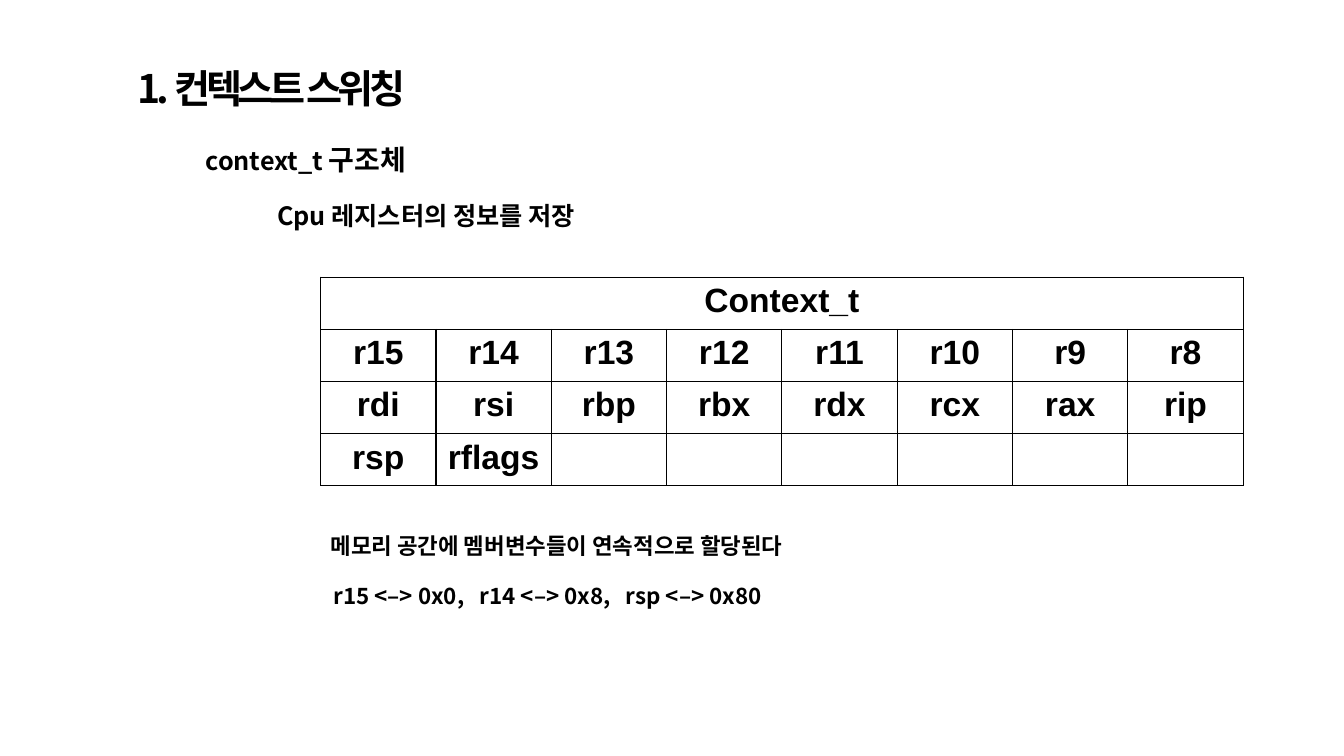
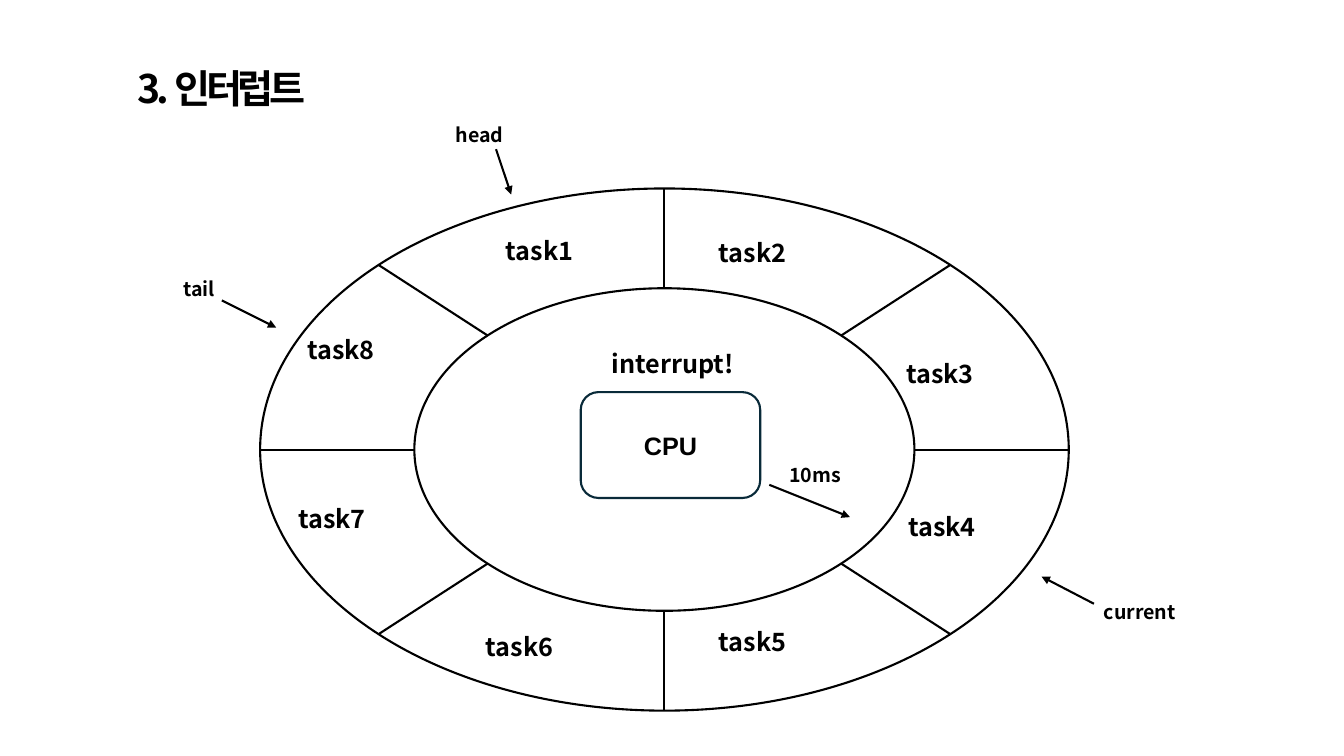
"""Build two slides on context switching and interrupts."""
import math

from lxml import etree
from pptx import Presentation
from pptx.dml.color import RGBColor
from pptx.enum import shapes, text
from pptx.oxml.ns import qn
from pptx.util import Inches, Pt

COLORS = {"ink": "000000", "cpu_line": "092A39"}
KOREAN, LATIN = "Noto Sans CJK KR", "Arial"
INK = RGBColor.from_string(COLORS["ink"])


def style(paragraph, size, name):
    """Set the bold font of a paragraph and return its default run properties."""
    font = paragraph.font
    font.size, font.bold, font.name = Pt(size), True, name
    font.color.rgb = INK
    properties = paragraph._p.pPr.find(qn("a:defRPr"))
    etree.SubElement(properties, qn("a:ea"), typeface=name)
    return properties


def add_text(slide, left, top, width, height, runs, size):
    """Add a one-paragraph text box and return the paragraph."""
    box = slide.shapes.add_textbox(Inches(left), Inches(top), Inches(width), Inches(height))
    frame = box.text_frame
    frame.word_wrap = True
    frame.auto_size = text.MSO_AUTO_SIZE.SHAPE_TO_FIT_TEXT
    paragraph = frame.paragraphs[0]
    for words in runs:
        paragraph.add_run().text = words
    style(paragraph, size, KOREAN)
    return paragraph


presentation = Presentation()
presentation.slide_width, presentation.slide_height = Inches(13.33), Inches(7.5)

slides = []
for title, width in (("1. 컨텍스트 스위칭", 3.1), ("3. 인터럽트", 1.9)):
    slide = presentation.slides.add_slide(presentation.slide_layouts[6])
    paragraph = add_text(slide, 1.27, 0.59, width, 0.57, [title], 28)
    paragraph._p.pPr.find(qn("a:defRPr")).set("spc", "-300")
    slides.append(slide)
context_slide, interrupt_slide = slides

heading = add_text(context_slide, 1.94, 1.36, 2.97, 0.44, ["context_t ", "구조체"], 18)
heading.runs[1].font.size = Pt(20)
add_text(context_slide, 2.65, 1.94, 3.57, 0.4, ["Cpu 레지스터의 정보를 저장"], 18)
add_text(context_slide, 3.18, 5.23, 5.85, 0.37,
         ["메모리 공간에 멤버변수들이 연속적으로 할당된다"], 16)
offsets = add_text(context_slide, 3.21, 5.73, 8.06, 0.37,
                   ["r15 <–> 0x0,\tr14 <–> 0x8,\trsp <–> 0x80"], 16)
tab_list = etree.Element(qn("a:tabLst"))
for position in (1.45, 2.9):
    etree.SubElement(tab_list, qn("a:tab"), pos=str(Inches(position)), algn="l")
offsets._p.pPr.insert(0, tab_list)

ROWS = [
    ["Context_t"],
    ["r15", "r14", "r13", "r12", "r11", "r10", "r9", "r8"],
    ["rdi", "rsi", "rbp", "rbx", "rdx", "rcx", "rax", "rip"],
    ["rsp", "rflags"],
]
table = context_slide.shapes.add_table(
    len(ROWS), 8, Inches(3.18), Inches(2.75), Inches(9.15), Inches(2.07)).table
table.first_row = table.horz_banding = False
for row, registers in enumerate(ROWS):
    for column in range(8):
        cell = table.cell(row, column)
        paragraph = cell.text_frame.paragraphs[0]
        paragraph.alignment = text.PP_ALIGN.CENTER
        if column < len(registers):
            paragraph.add_run().text = registers[column]
        style(paragraph, 24, LATIN)
        properties = cell._tc.get_or_add_tcPr()
        for side in ("lnL", "lnR", "lnT", "lnB"):
            border = etree.SubElement(properties, qn(f"a:{side}"), w=str(Pt(1)))
            fill = etree.SubElement(border, qn("a:solidFill"))
            etree.SubElement(fill, qn("a:srgbClr"), val=COLORS["ink"])
        cell.fill.background()
table.cell(0, 0).merge(table.cell(0, 7))

CENTER_X, CENTER_Y = 6.59, 4.46
OUTER, INNER = (4.01, 2.59), (2.48, 1.6)
outlines = [
    (shapes.MSO_SHAPE.OVAL, CENTER_X - radius_x, CENTER_Y - radius_y,
     2 * radius_x, 2 * radius_y, "ink")
    for radius_x, radius_y in (OUTER, INNER)
]
outlines.append((shapes.MSO_SHAPE.ROUNDED_RECTANGLE, 5.76, 3.89, 1.78, 1.05, "cpu_line"))
for kind, left, top, width, height, color in outlines:
    shape = interrupt_slide.shapes.add_shape(
        kind, Inches(left), Inches(top), Inches(width), Inches(height))
    shape.shadow.inherit = False
    shape.fill.background()
    shape.line.color.rgb = RGBColor.from_string(COLORS[color])
    shape.line.width = Pt(1.5)
cpu = shape
cpu.text_frame.text = "CPU"
cpu.text_frame.vertical_anchor = text.MSO_ANCHOR.MIDDLE
cpu.text_frame.paragraphs[0].alignment = text.PP_ALIGN.CENTER
style(cpu.text_frame.paragraphs[0], 18, LATIN)

lines = []
for step in range(8):
    cosine, sine = math.cos(step * math.pi / 4), math.sin(step * math.pi / 4)
    ends = [(CENTER_X + radius_x * cosine, CENTER_Y + radius_y * sine)
            for radius_x, radius_y in (INNER, OUTER)]
    lines.append((*ends, False))
lines += [
    ((4.92, 1.48), (5.07, 1.93), True),
    ((2.2, 2.98), (2.74, 3.25), True),
    ((10.85, 5.99), (10.33, 5.72), True),
    ((7.63, 4.81), (8.43, 5.13), True),
]
for start, end, has_arrow in lines:
    connector = interrupt_slide.shapes.add_connector(
        shapes.MSO_CONNECTOR.STRAIGHT, *(Inches(value) for value in start + end))
    connector.line.color.rgb = INK
    connector.line.width = Pt(1.5)
    if has_arrow:
        etree.SubElement(connector.line._get_or_add_ln(), qn("a:tailEnd"), type="triangle")
    etree.SubElement(connector._element.spPr, qn("a:effectLst"))

TASK_PLACES = [(4.92, 2.29), (7.03, 2.31), (8.89, 3.51), (8.91, 5.02),
               (7.03, 6.16), (4.72, 6.21), (2.86, 4.94), (2.95, 3.27)]
for number, (left, top) in enumerate(TASK_PLACES, 1):
    add_text(interrupt_slide, left, top, 1.44, 0.43, [f"task{number}"], 18)

for label, left, top, width, size in (
    ("head", 4.42, 1.17, 0.9, 14),
    ("tail", 1.72, 2.7, 0.9, 14),
    ("current", 10.85, 5.9, 1.23, 14),
    ("10ms", 7.73, 4.54, 1.23, 14),
    ("interrupt!", 5.97, 3.41, 2.11, 18),
):
    add_text(interrupt_slide, left, top, width, 0.36, [label], size)

presentation.save("out.pptx")
